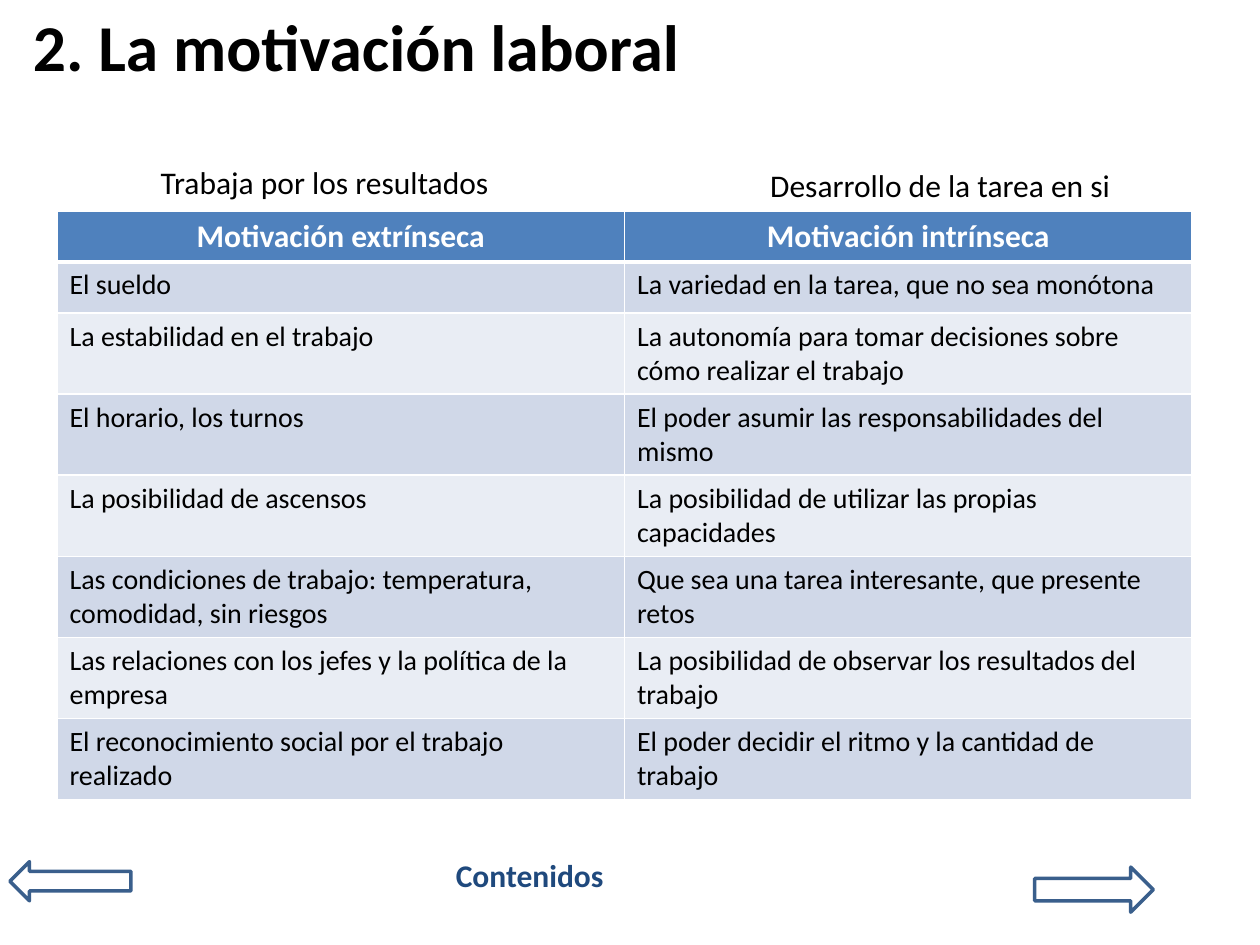
from dataclasses import dataclass

from lxml.etree import SubElement
from pptx import Presentation
from pptx.dml.color import RGBColor
from pptx.enum.shapes import MSO_SHAPE as Preset
from pptx.enum.text import MSO_ANCHOR as Anchor, MSO_AUTO_SIZE as AutoSize, PP_ALIGN as Align
from pptx.oxml.ns import qn
from pptx.util import Cm, Pt

COLORS = {
    "black": "000000",
    "white": "FFFFFF",
    "navy": "1F497D",
    "outline": "3A5F8C",
    "header": "4F81BD",
    "odd_row": "D0D8E8",
    "even_row": "E9EDF4",
}
FONT = "Calibri"

HEADINGS = ("Motivación extrínseca", "Motivación intrínseca")
FACTORS = [
    ("El sueldo", "La variedad en la tarea, que no sea monótona"),
    ("La estabilidad en el trabajo",
     "La autonomía para tomar decisiones sobre cómo realizar el trabajo"),
    ("El horario, los turnos", "El poder asumir las responsabilidades del mismo"),
    ("La posibilidad de ascensos", "La posibilidad de utilizar las propias capacidades"),
    ("Las condiciones de trabajo: temperatura, comodidad, sin riesgos",
     "Que sea una tarea interesante, que presente retos"),
    ("Las relaciones con los jefes y la política de la empresa",
     "La posibilidad de observar los resultados del trabajo"),
    ("El reconocimiento social por el trabajo realizado",
     "El poder decidir el ritmo y la cantidad de trabajo"),
]
COLUMN_WIDTH = 11.44
SHORT_ROW, TALL_ROW = 1.03, 1.58


@dataclass(frozen=True)
class Box:
    """Left, top, width and height in centimetres."""
    left: float
    top: float
    width: float
    height: float

    def lengths(self) -> tuple:
        return Cm(self.left), Cm(self.top), Cm(self.width), Cm(self.height)


@dataclass(frozen=True)
class Label:
    text: str
    box: Box
    color: str = "black"
    bold: bool = False
    align: Align = Align.CENTER


@dataclass(frozen=True)
class Arrow:
    preset: Preset
    box: Box


LABELS = [
    Label("Contenidos", Box(8.94, 17.13, 3.66, 1.02), "navy", True, Align.LEFT),
    Label("Trabaja por los resultados", Box(2.24, 3.16, 8.61, 1.02)),
    Label("Desarrollo de la tarea en si", Box(14.65, 3.23, 8.61, 1.02)),
]
ARROWS = [
    Arrow(Preset.LEFT_ARROW, Box(0.2, 17.37, 2.44, 0.79)),
    Arrow(Preset.RIGHT_ARROW, Box(20.86, 17.48, 2.39, 0.91)),
]


def rgb(color: str) -> RGBColor:
    return RGBColor.from_string(COLORS[color])


def write(frame, text: str, size: float, color: str, bold: bool, align: Align) -> None:
    frame.text = text
    paragraph = frame.paragraphs[0]
    paragraph.alignment = align
    font_format = {"name": FONT, "size": Pt(size), "bold": bold}
    for name, value in font_format.items():
        setattr(paragraph.font, name, value)
    paragraph.font.color.rgb = rgb(color)


def add_title(slide, text: str) -> None:
    title = slide.shapes.title
    title.left, title.top, title.width, title.height = Box(0.41, 0.12, 22.86, 1.6).lengths()
    write(title.text_frame, text, 37.4, "black", True, Align.LEFT)
    title.text_frame.auto_size = AutoSize.NONE
    title.text_frame.vertical_anchor = Anchor.MIDDLE


def add_label(slide, label: Label) -> None:
    frame = slide.shapes.add_textbox(*label.box.lengths()).text_frame
    frame.word_wrap = True
    write(frame, label.text, 18, label.color, label.bold, label.align)


def add_arrow(slide, arrow: Arrow) -> None:
    shape = slide.shapes.add_shape(arrow.preset, *arrow.box.lengths())
    shape.shadow.inherit = False
    shape.fill.background()
    shape.line.color.rgb = rgb("outline")
    shape.line.width = Pt(2)


def set_borders(cell, widths: dict[str, float]) -> None:
    """Draw white borders; they must precede the fill in the cell properties."""
    properties = cell._tc.get_or_add_tcPr()
    for index, (side, width) in enumerate(widths.items()):
        line = SubElement(properties, qn(f"a:ln{side}"), w=str(Pt(width)))
        fill = SubElement(line, qn("a:solidFill"))
        SubElement(fill, qn("a:srgbClr"), val=COLORS["white"])
        properties.insert(index, line)


def add_factor_table(slide) -> None:
    rows = [HEADINGS, *FACTORS]
    heights = [SHORT_ROW] * 2 + [TALL_ROW] * (len(rows) - 2)
    box = Box(1.15, 4.25, COLUMN_WIDTH * len(HEADINGS), sum(heights))
    table = slide.shapes.add_table(len(rows), len(HEADINGS), *box.lengths()).table
    for column in table.columns:
        column.width = Cm(COLUMN_WIDTH)
    for row_index, (texts, height) in enumerate(zip(rows, heights)):
        table.rows[row_index].height = Cm(height)
        is_header = row_index == 0
        fill = "header" if is_header else "odd_row" if row_index % 2 else "even_row"
        borders = {"L": 1, "R": 1, "T": 3 if row_index == 1 else 1, "B": 3 if is_header else 1}
        for column_index, text in enumerate(texts):
            cell = table.cell(row_index, column_index)
            cell.fill.solid()
            cell.fill.fore_color.rgb = rgb(fill)
            set_borders(cell, borders)
            if is_header:
                write(cell.text_frame, text, 18, "white", True, Align.CENTER)
            else:
                write(cell.text_frame, text, 16, "black", False, Align.LEFT)


def main() -> None:
    presentation = Presentation()
    presentation.slide_width, presentation.slide_height = Cm(25.4), Cm(19.05)
    slide = presentation.slides.add_slide(presentation.slide_layouts.get_by_name("Title Only"))
    add_title(slide, "2. La motivación laboral")
    for arrow in ARROWS:
        add_arrow(slide, arrow)
    add_factor_table(slide)
    for label in LABELS:
        add_label(slide, label)
    presentation.save("out.pptx")


if __name__ == "__main__":
    main()
